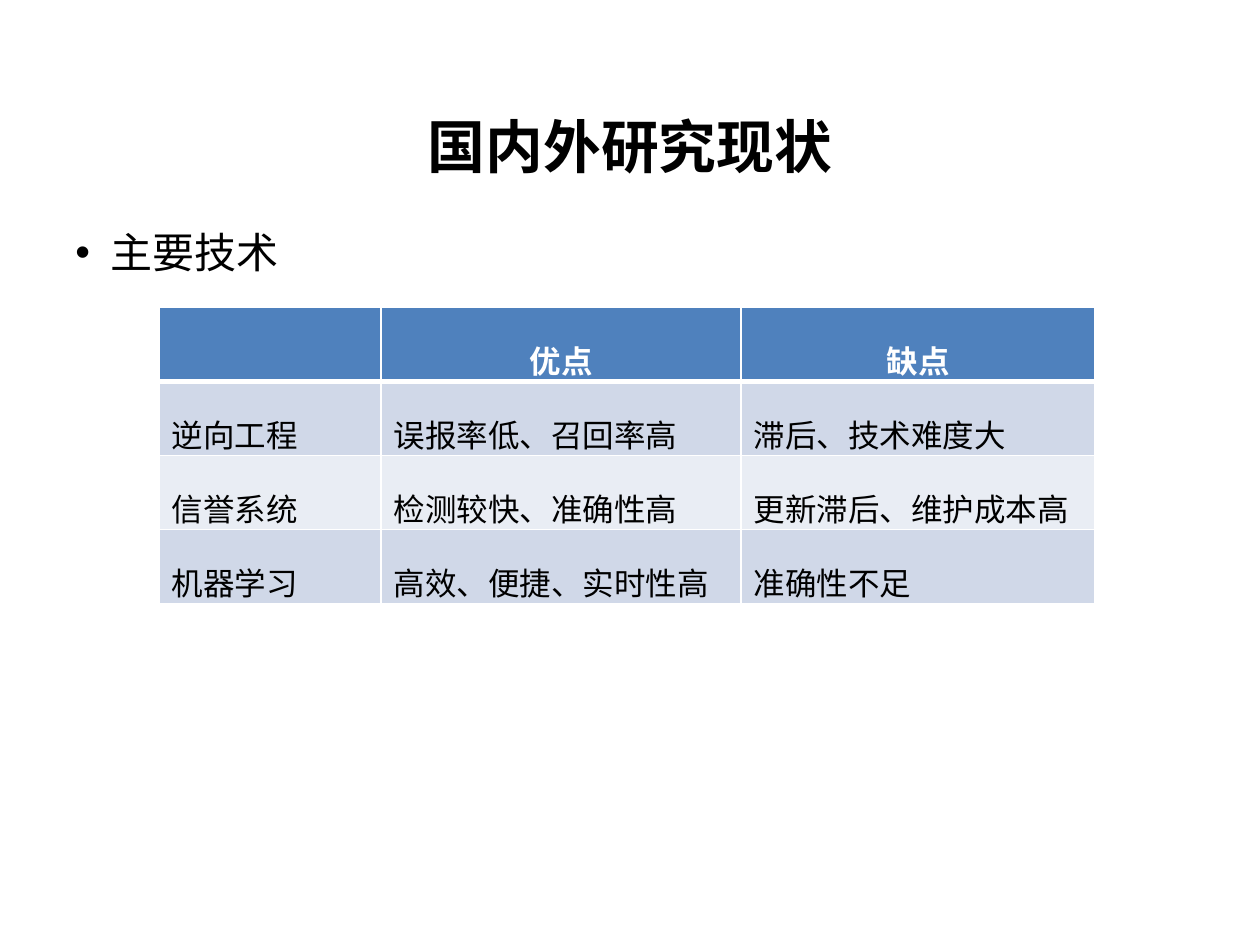
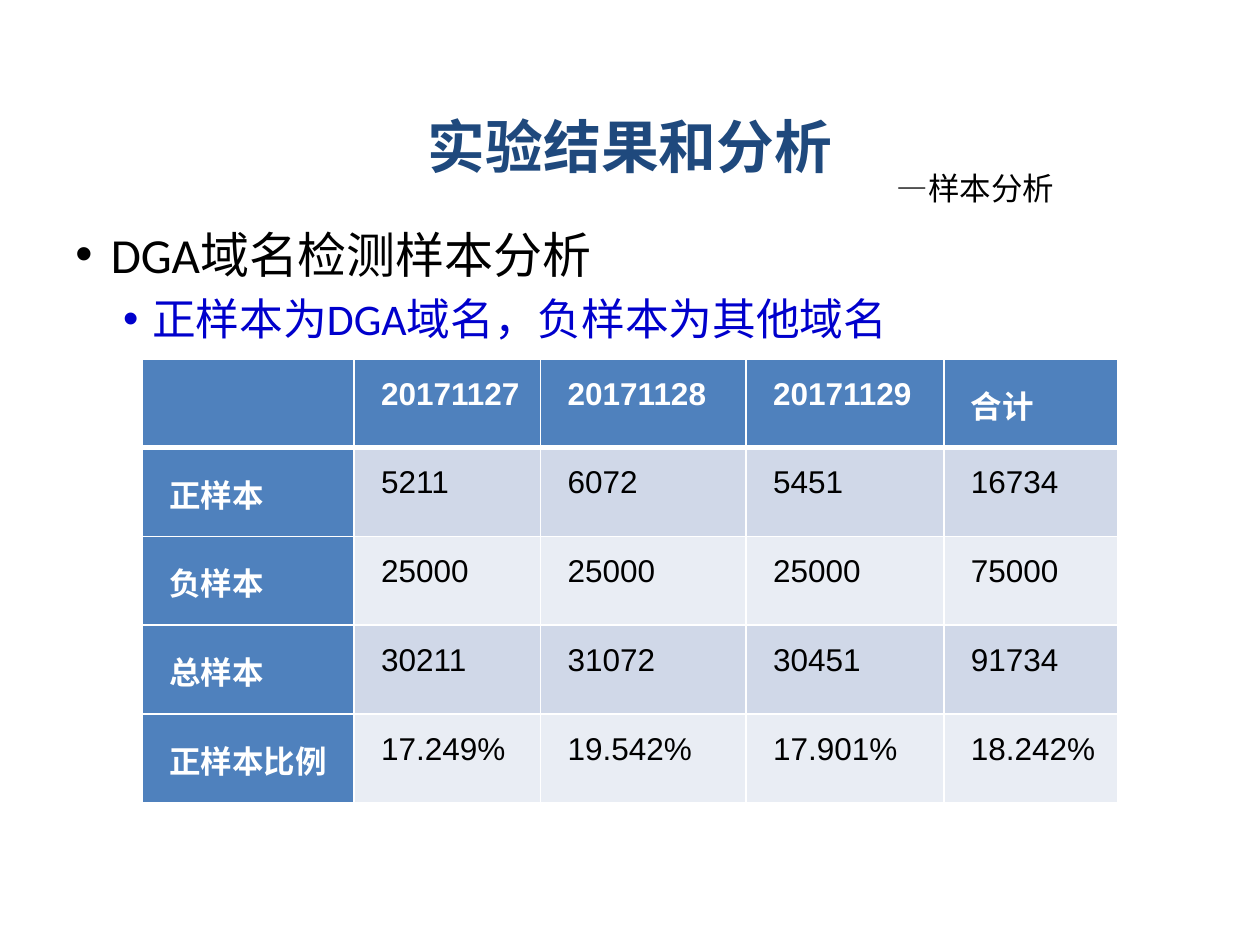
from lxml import etree
from pptx import Presentation
from pptx.dml.color import RGBColor
from pptx.enum.text import MSO_ANCHOR, PP_ALIGN
from pptx.oxml.ns import qn
from pptx.util import Pt

BLACK = RGBColor(0x00, 0x00, 0x00)
WHITE = RGBColor(0xFF, 0xFF, 0xFF)
NAVY = RGBColor(0x1F, 0x49, 0x7D)
BLUE = RGBColor(0x00, 0x00, 0xCC)
HEADER = RGBColor(0x4F, 0x81, 0xBD)
BANDS = (RGBColor(0xD0, 0xD8, 0xE8), RGBColor(0xE9, 0xED, 0xF4))

LEFT, CENTER, JUSTIFY = PP_ALIGN.LEFT, PP_ALIGN.CENTER, PP_ALIGN.JUSTIFY
TOP, MIDDLE = MSO_ANCHOR.TOP, MSO_ANCHOR.MIDDLE

HEADING_FONT, BODY_FONT = "Arial", "Calibri"
TITLE_SIZE, TABLE_SIZE = 33, 18
HANGING = ((20.25, -20.25), (43.9, -16.6))


class SlideWriter:
    """Hold the deck style and add elements to the current slide."""

    def __init__(self):
        self.deck = Presentation()
        self.deck.slide_width, self.deck.slide_height = Pt(720), Pt(540)
        self.page = None

    def new_page(self, title, color=BLACK):
        self.page = self.deck.slides.add_slide(self.deck.slide_layouts[6])
        frame = self.text_box(36, 54.7, 648, 56.9, MIDDLE)
        para = frame.paragraphs[0]
        para.alignment = CENTER
        self.span(para, title, TITLE_SIZE, color, bold=True)

    def text_box(self, left, top, width, height, anchor=TOP):
        box = self.page.shapes.add_textbox(Pt(left), Pt(top), Pt(width), Pt(height))
        frame = box.text_frame
        frame.word_wrap = True
        frame.vertical_anchor = anchor
        return frame

    def span(self, para, text, size, color, font=HEADING_FONT, bold=False):
        span = para.add_run()
        span.text = text
        span.font.name = font
        span.font.size = Pt(size)
        span.font.bold = bold
        span.font.color.rgb = color

    def indent(self, para, margin, first_line):
        properties = para._p.get_or_add_pPr()
        properties.set("marL", str(Pt(margin)))
        properties.set("indent", str(Pt(first_line)))
        return properties

    def bullets(self, left, top, width, height, items):
        frame = self.text_box(left, top, width, height)
        for level, (text, size, color) in enumerate(items):
            para = frame.add_paragraph() if level else frame.paragraphs[0]
            para.level = level
            para.space_before = Pt(size * 0.2)
            properties = self.indent(para, *HANGING[level])
            etree.SubElement(properties, qn("a:buFont"), typeface="Arial")
            etree.SubElement(properties, qn("a:buChar"), char="•")
            self.span(para, text, size, color, BODY_FONT)

    def note(self, left, top, width, height, text):
        frame = self.text_box(left, top, width, height)
        self.span(frame.paragraphs[0], text, TABLE_SIZE, BLACK)

    def borders(self, cell, row):
        properties = cell._tc.get_or_add_tcPr()
        widths = {"L": 1, "R": 1, "T": 3 if row == 1 else 1, "B": 1 if row else 3}
        for side, width in widths.items():
            line = etree.SubElement(properties, qn(f"a:ln{side}"), w=str(Pt(width)))
            fill = etree.SubElement(line, qn("a:solidFill"))
            etree.SubElement(fill, qn("a:srgbClr"), val=str(WHITE))

    def table(self, left, top, widths, row_height, rows, side_header=False):
        frame = self.page.shapes.add_table(
            len(rows), len(widths), Pt(left), Pt(top),
            Pt(sum(widths)), Pt(row_height * len(rows)))
        table = frame.table
        table.first_row = table.horz_banding = False
        for column, width in zip(table.columns, widths):
            column.width = Pt(width)
        for r, texts in enumerate(rows):
            table.rows[r].height = Pt(row_height)
            for c, text in enumerate(texts):
                cell = table.cell(r, c)
                is_header = r == 0 or (side_header and c == 0)
                self.borders(cell, r)
                cell.fill.solid()
                cell.fill.fore_color.rgb = HEADER if is_header else BANDS[(r - 1) % 2]
                if not text:
                    continue
                para = cell.text_frame.paragraphs[0]
                para.line_spacing = 1.5
                if side_header:
                    cell.margin_left = cell.margin_right = Pt(5.4)
                    cell.margin_top = cell.margin_bottom = Pt(0)
                    para.alignment = JUSTIFY
                    self.indent(para, 0, 10)
                else:
                    para.alignment = CENTER if is_header else LEFT
                self.span(para, text, TABLE_SIZE,
                          WHITE if is_header else BLACK, bold=is_header)


def main():
    writer = SlideWriter()

    writer.new_page("国内外研究现状")
    writer.bullets(36, 126, 648, 382.3, [("主要技术", 24, BLACK)])
    writer.table(91, 175.7, (126.7, 205.9, 202.3), 42.3, [
        ("", "优点", "缺点"),
        ("逆向工程", "误报率低、召回率高", "滞后、技术难度大"),
        ("信誉系统", "检测较快、准确性高", "更新滞后、维护成本高"),
        ("机器学习", "高效、便捷、实时性高", "准确性不足"),
    ])

    writer.new_page("实验结果和分析", NAVY)
    writer.bullets(36, 124.6, 632.9, 375.1, [
        ("DGA域名检测样本分析", 28, BLACK),
        ("正样本为DGA域名，负样本为其他域名", 25, BLUE),
    ])
    writer.note(505.4, 92.9, 109.4, 28.8, "—样本分析")
    writer.table(81.4, 205.2, (121, 106.6, 117.4, 113, 99.4), 50.7, [
        ("", "20171127", "20171128", "20171129", "合计"),
        ("正样本", "5211", "6072", "5451", "16734"),
        ("负样本", "25000", "25000", "25000", "75000"),
        ("总样本", "30211", "31072", "30451", "91734"),
        ("正样本比例", "17.249%", "19.542%", "17.901%", "18.242%"),
    ], side_header=True)

    writer.deck.save("out.pptx")


if __name__ == "__main__":
    main()
